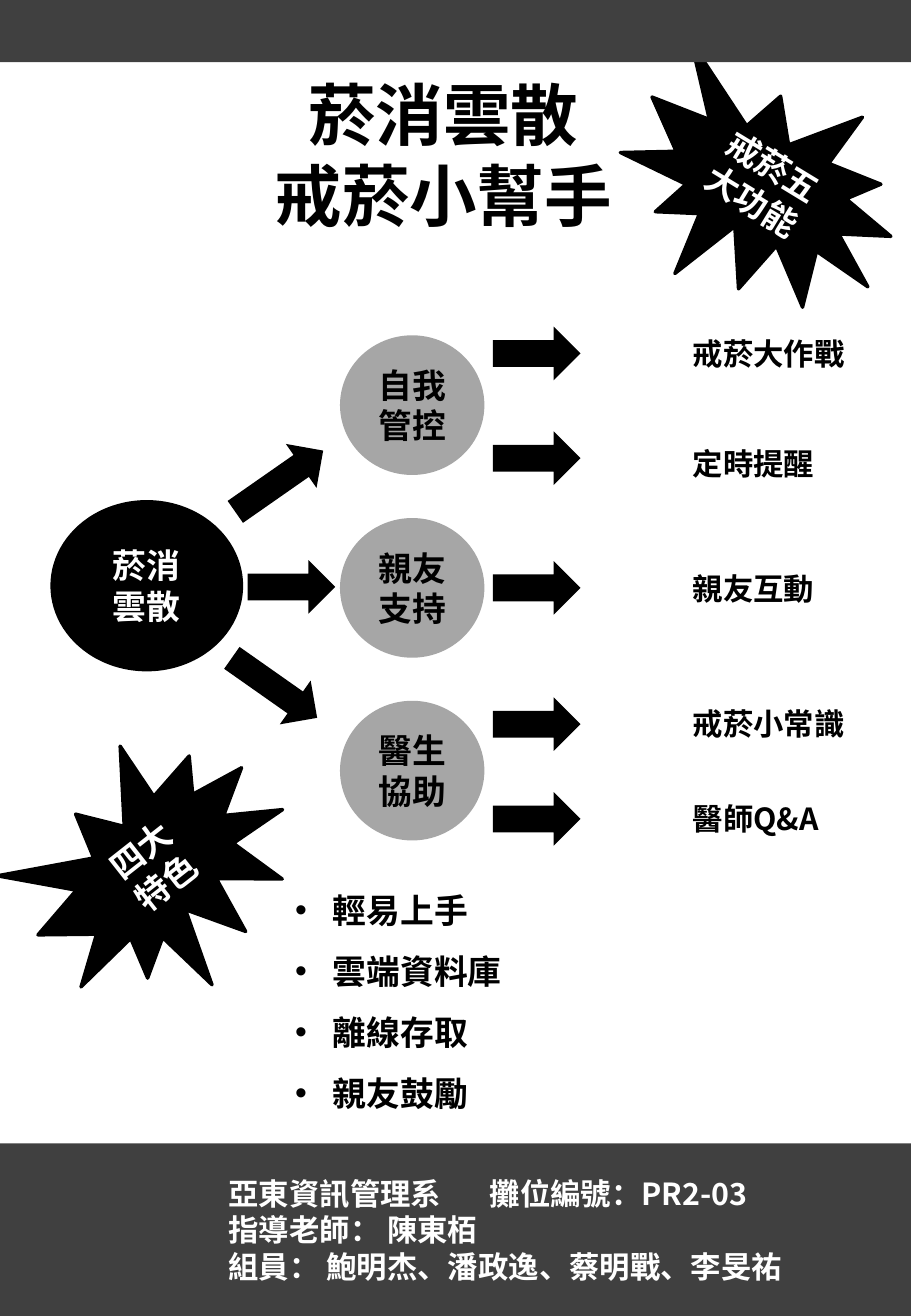
from lxml.etree import SubElement
from pptx import Presentation
from pptx.dml.color import RGBColor
from pptx.enum.shapes import MSO_SHAPE
from pptx.enum.text import MSO_ANCHOR, MSO_AUTO_SIZE, PP_ALIGN
from pptx.oxml.ns import qn
from pptx.util import Cm, Pt

BLACK = RGBColor(0x00, 0x00, 0x00)
WHITE = RGBColor(0xFF, 0xFF, 0xFF)
DARK_GRAY = RGBColor(0x40, 0x40, 0x40)
MID_GRAY = RGBColor(0xA6, 0xA6, 0xA6)
FONT_JP, FONT_SC, FONT_TC = (f"Noto Sans CJK {region}" for region in ("JP", "SC", "TC"))

PAGE_WIDTH, PAGE_HEIGHT = 19.05, 27.51
TITLE = "菸消雲散\v戒菸小幫手"
HUB = ["菸消", "雲散"]
SEALS = [
    (["戒菸五大功能"], (12.95, 1.57, 5.92, 4.83), 31.3),
    (["四大", "特色"], (0.51, 15.65, 5.64, 5.11), 321.8),
]
GROUPS = [["自我", "管控"], ["親友支持"], ["醫生", "協助"]]
HUB_ARROWS = [
    ((4.72, 9.5, 2.24, 1.12), 325.1),
    ((5.18, 11.71, 1.83, 1.12), 0),
    ((4.65, 13.82, 2.18, 1.12), 35.1),
]
FUNCTIONS = [
    ("戒菸大作戰", 6.83, 6.88, 3.71),
    ("定時提醒", 9.02, 9.19, 3.07),
    ("親友互動", 11.73, 11.79, 3.07),
    ("戒菸小常識", 14.58, 14.61, 3.71),
    ("醫師Q&A", 16.56, 16.61, 3.35),
]
FEATURES = ["輕易上手", "雲端資料庫", "離線存取", "親友鼓勵"]
CREDITS = [
    "亞東資訊管理系\t攤位編號：PR2-03",
    "指導老師： 陳東栢",
    "組員： 鮑明杰、潘政逸、蔡明戰、李旻祐",
]
CIRCLE_TOP, CIRCLE_STEP = 7.01, 3.82
BAND_TOP, BAND_HEIGHT = 23.9, 3.61


def write(frame, lines, size=20, font=FONT_JP, color=BLACK, align=PP_ALIGN.CENTER,
          spacing=None, bullet=None, tab=None):
    """Fill a text frame with bold paragraphs in one format."""
    for index, line in enumerate(lines):
        paragraph = frame.paragraphs[0] if index == 0 else frame.add_paragraph()
        paragraph.text = line
        properties = paragraph._p.get_or_add_pPr()
        if bullet:
            properties.set("marL", str(Cm(0.79)))
            properties.set("indent", str(Cm(-0.79)))
            SubElement(properties, qn("a:buFont"), typeface="Arial")
            SubElement(properties, qn("a:buChar"), char=bullet)
        if tab:
            stops = SubElement(properties, qn("a:tabLst"))
            SubElement(stops, qn("a:tab"), pos=str(Cm(tab)), algn="l")
        paragraph.alignment = align
        paragraph.line_spacing = spacing or Pt(size * 1.2)
        for run in paragraph.runs:
            run.font.size = Pt(size)
            run.font.bold = True
            run.font.name = font
            run.font.color.rgb = color
            SubElement(run._r.get_or_add_rPr(), qn("a:ea"), typeface=font)


def place(slide, kind, box, fill, rotation=0, outlined=False):
    """Add a flat preset shape."""
    shape = slide.shapes.add_shape(kind, *map(Cm, box))
    shape.shadow.inherit = False
    shape.rotation = rotation
    shape.fill.solid()
    shape.fill.fore_color.rgb = fill
    if outlined:
        shape.line.color.rgb = fill
        shape.line.width = Pt(2)
    else:
        shape.line.fill.background()
    shape.text_frame.vertical_anchor = MSO_ANCHOR.MIDDLE
    return shape


def main():
    """Build the poster."""
    deck = Presentation()
    deck.slide_width, deck.slide_height = Cm(PAGE_WIDTH), Cm(PAGE_HEIGHT)
    slide = deck.slides.add_slide(deck.slide_layouts[5])

    title = slide.shapes.title
    title.left, title.top, title.width, title.height = map(Cm, (1.17, 1.32, 16.2, 3.81))
    title.text_frame.auto_size = MSO_AUTO_SIZE.NONE
    title.text_frame.vertical_anchor = MSO_ANCHOR.MIDDLE
    write(title.text_frame, [TITLE], size=40, font=FONT_SC)

    for lines, box, rotation in SEALS:
        seal = place(slide, MSO_SHAPE.EXPLOSION1, box, BLACK, rotation, outlined=True)
        write(seal.text_frame, lines, color=WHITE)

    place(slide, MSO_SHAPE.RECTANGLE, (0, 0, PAGE_WIDTH, 1.3), DARK_GRAY)
    footer = place(slide, MSO_SHAPE.RECTANGLE,
                   (0, BAND_TOP, PAGE_WIDTH, BAND_HEIGHT), DARK_GRAY)
    footer.text_frame.margin_left = Cm(4.78)
    write(footer.text_frame, CREDITS, size=18, color=WHITE, align=PP_ALIGN.LEFT, tab=5.46)

    features = slide.shapes.add_textbox(*map(Cm, (5.92, 18.06, 8.1, 5.38))).text_frame
    features.word_wrap = True
    write(features, FEATURES, font="Calibri", align=PP_ALIGN.LEFT, spacing=1.5, bullet="•")

    hub = place(slide, MSO_SHAPE.FLOWCHART_CONNECTOR, (1.09, 10.49, 3.96, 3.51),
                BLACK, outlined=True)
    write(hub.text_frame, HUB, color=WHITE)
    for index, lines in enumerate(GROUPS):
        box = (7.11, CIRCLE_TOP + index * CIRCLE_STEP, 3.02, 2.92)
        group = place(slide, MSO_SHAPE.FLOWCHART_CONNECTOR, box, MID_GRAY)
        write(group.text_frame, lines)

    for box, rotation in HUB_ARROWS:
        place(slide, MSO_SHAPE.RIGHT_ARROW, box, BLACK, rotation)
    for name, arrow_top, label_top, label_width in FUNCTIONS:
        place(slide, MSO_SHAPE.RIGHT_ARROW, (10.31, arrow_top, 1.83, 1.12), BLACK)
        label = slide.shapes.add_textbox(
            *map(Cm, (14.24, label_top, label_width, 1.02))).text_frame
        label.word_wrap = False
        label.auto_size = MSO_AUTO_SIZE.SHAPE_TO_FIT_TEXT
        write(label, [name], size=18, font=FONT_TC, align=PP_ALIGN.LEFT)

    deck.save("out.pptx")


if __name__ == "__main__":
    main()
